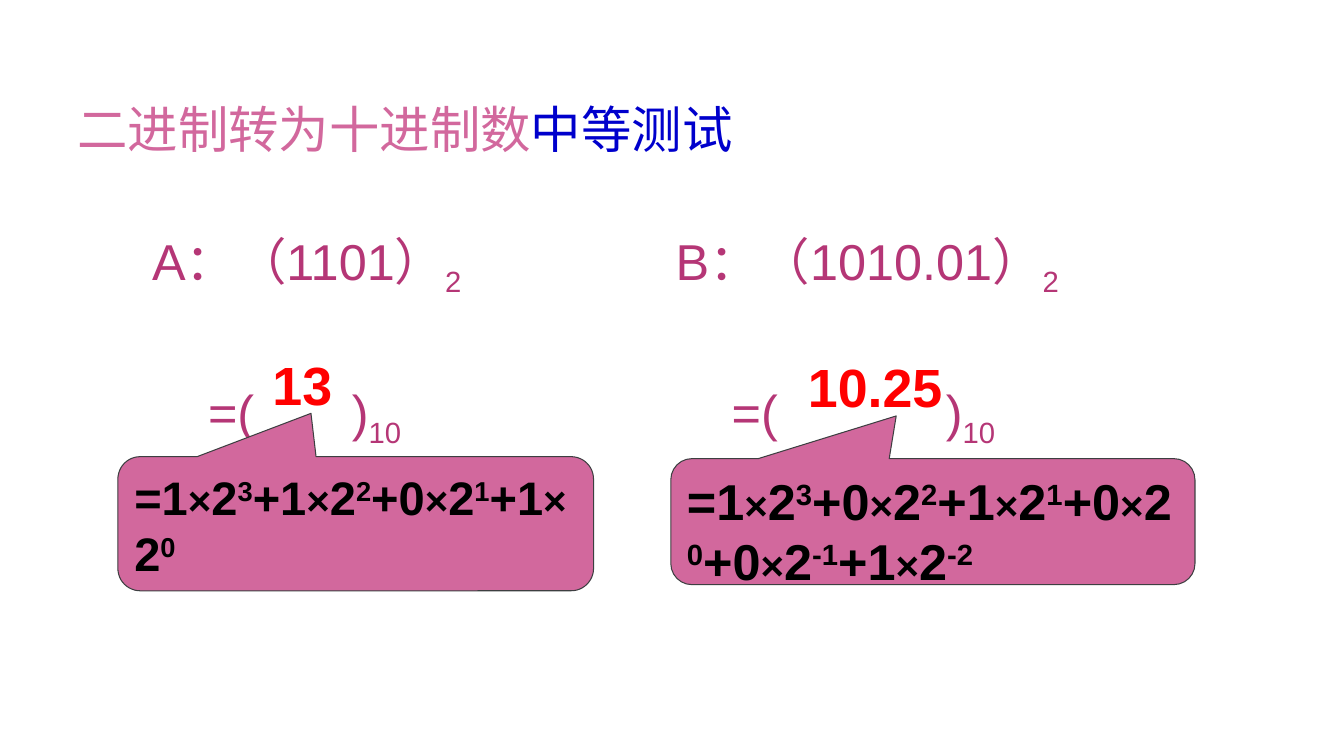
from dataclasses import dataclass

from lxml import etree
from pptx import Presentation
from pptx import util as u
from pptx.dml import color
from pptx.enum import shapes, text
from pptx.oxml import ns


@dataclass(frozen=True)
class Theme:
    font: str = "Arial"
    pink: str = "D2689D"
    plum: str = "B53676"
    blue: str = "0000CC"
    red: str = "FF0000"
    black: str = "000000"
    outline: str = "3D3F41"
    body_size: float = 36
    answer_size: float = 38.4
    times_size: float = 28.8


@dataclass(frozen=True)
class Area:
    left: float
    top: float
    width: float
    height: float

    def lengths(self) -> tuple:
        return tuple(u.Pt(n) for n in (self.left, self.top, self.width, self.height))


@dataclass(frozen=True)
class Question:
    label: str
    binary: str
    answer: str
    question_area: Area
    answer_area: Area
    callout_area: Area
    pointer: tuple[float, float]
    callout_size: float
    closing_tab: float


THEME = Theme()
OPENING_TAB = 40
QUESTIONS = [
    Question("A", "1101", "13", Area(101.5, 161.3, 360.7, 198),
             Area(187.5, 247.7, 58, 54), Area(84.2, 326.2, 339.8, 95.8),
             (-0.094, -0.823), 33.6, 142.7),
    Question("B", "1010.01", "10.25", Area(475.5, 161.3, 382.3, 199.4),
             Area(570, 249.1, 112, 54), Area(479.2, 327.6, 374.4, 90),
             (-0.07, -0.839), 36, 193),
]


def style(font, size: float, fill: str, bold: bool = False) -> None:
    font.name = THEME.font
    font.size = u.Pt(size)
    font.bold = bold
    font.color.rgb = color.RGBColor.from_string(fill)


def add_span(para, words: str, baseline: int = 0):
    span = para.add_run()
    span.text = words
    if baseline:
        span.font._element.set("baseline", str(baseline * 1000))
    return span


def add_box(page, area: Area):
    box = page.shapes.add_textbox(*area.lengths())
    box.text_frame.word_wrap = True
    return box.text_frame


def set_tabs(para, *positions: float) -> None:
    properties = para._p.get_or_add_pPr()
    tabs = etree.Element(ns.qn("a:tabLst"))
    for position in positions:
        etree.SubElement(tabs, ns.qn("a:tab"), pos=str(u.Pt(position)), algn="l")
    properties.find(ns.qn("a:defRPr")).addprevious(tabs)


def add_title(page) -> None:
    frame = add_box(page, Area(48.2, 64, 828, 53.3))
    frame.vertical_anchor = text.MSO_ANCHOR.BOTTOM
    para = frame.paragraphs[0]
    para.line_spacing = 0.9
    style(para.font, THEME.body_size, THEME.pink)
    add_span(para, "二进制转为十进制数")
    ending = add_span(para, "中等测试")
    ending.font.color.rgb = color.RGBColor.from_string(THEME.blue)


def add_question(page, question: Question) -> None:
    frame = add_box(page, question.question_area)
    lines = [(f"{question.label}：（{question.binary}）", "2", 10),
             ("\t=(\t)", "10", 63.5)]
    for index, (words, base, gap) in enumerate(lines):
        para = frame.add_paragraph() if index else frame.paragraphs[0]
        para.line_spacing = 0.9
        para.space_before = u.Pt(gap)
        style(para.font, THEME.body_size, THEME.plum)
        set_tabs(para, OPENING_TAB, question.closing_tab)
        add_span(para, words)
        add_span(para, base, -25)


def add_answer(page, question: Question) -> None:
    frame = add_box(page, question.answer_area)
    frame.word_wrap = False
    frame.auto_size = text.MSO_AUTO_SIZE.SHAPE_TO_FIT_TEXT
    para = frame.paragraphs[0]
    style(para.font, THEME.answer_size, THEME.red, bold=True)
    add_span(para, question.answer)


def add_callout(page, question: Question) -> None:
    callout = page.shapes.add_shape(shapes.MSO_SHAPE.ROUNDED_RECTANGULAR_CALLOUT,
                                    *question.callout_area.lengths())
    for index, value in enumerate((*question.pointer, 0.167)):
        callout.adjustments[index] = value
    callout.shadow.inherit = False
    callout.fill.solid()
    callout.fill.fore_color.rgb = color.RGBColor.from_string(THEME.pink)
    callout.line.color.rgb = color.RGBColor.from_string(THEME.outline)
    callout.line.width = u.Pt(0.75)
    frame = callout.text_frame
    frame.word_wrap = True
    frame.vertical_anchor = text.MSO_ANCHOR.TOP
    para = frame.paragraphs[0]
    para.alignment = text.PP_ALIGN.LEFT
    style(para.font, question.callout_size, THEME.black, bold=True)
    highest = len(question.binary.split(".")[0]) - 1
    for index, digit in enumerate(question.binary.replace(".", "")):
        add_span(para, f"{'+' if index else '='}{digit}")
        add_span(para, "×").font.size = u.Pt(THEME.times_size)
        add_span(para, "2")
        add_span(para, str(highest - index), 30)


def main() -> None:
    deck = Presentation()
    deck.slide_width, deck.slide_height = u.Pt(960), u.Pt(540)
    page = deck.slides.add_slide(deck.slide_layouts[6])
    for draw in (add_question, add_answer, add_callout):
        for question in QUESTIONS:
            draw(page, question)
    add_title(page)
    deck.save("out.pptx")


if __name__ == "__main__":
    main()
